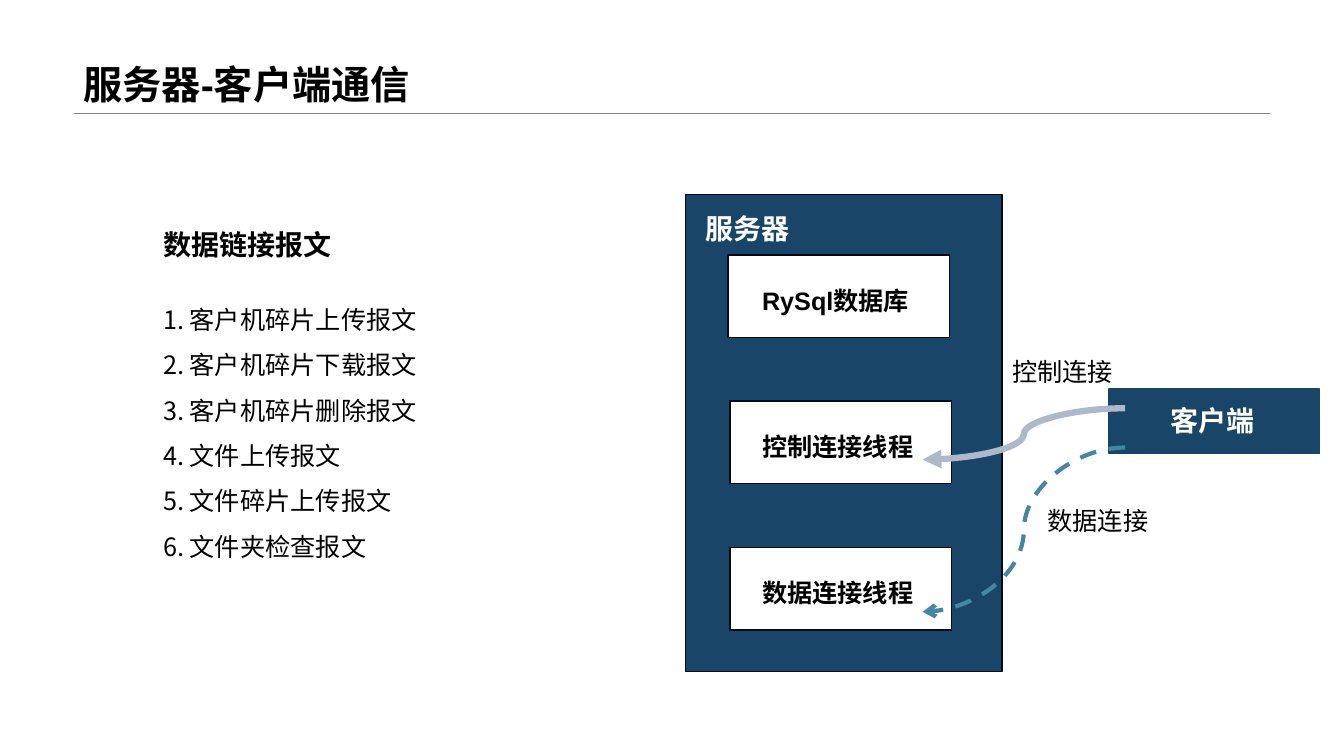
"""Build a slide on the communication between server and client."""
import lxml.etree
import pptx
import pptx.dml.color
import pptx.enum.dml
import pptx.enum.shapes
import pptx.enum.text
import pptx.oxml.ns
import pptx.util

Inches = pptx.util.Inches
Pt = pptx.util.Pt
CONNECTOR = pptx.enum.shapes.MSO_CONNECTOR
ANCHOR = pptx.enum.text.MSO_ANCHOR

COLORS = {
    "black": "000000",
    "white": "FFFFFF",
    "navy": "194668",
    "outline": "010A1A",
    "rule": "808080",
    "control": "ADB9CA",
    "data": "4586A5",
}
LATIN_FONT = "Arial"
CJK_FONT = "Noto Sans CJK SC"
MESSAGES = [
    "客户机碎片上传报文",
    "客户机碎片下载报文",
    "客户机碎片删除报文",
    "文件上传报文",
    "文件碎片上传报文",
    "文件夹检查报文",
]
THREADS = [("RySql数据库", 7.22), ("控制连接线程", 7.24), ("数据连接线程", 7.24)]
THREAD_TOP, THREAD_STEP = 2.53, 1.45


def rgb(name):
    """Return the named colour."""
    return pptx.dml.color.RGBColor.from_string(COLORS[name])


def add_text(shapes, box, lines, size, color="black", bold=False,
             font=LATIN_FONT, spacing=1.0, anchor=ANCHOR.TOP):
    """Add a text box with one paragraph for each line."""
    frame = shapes.add_textbox(*map(Inches, box)).text_frame
    frame.word_wrap = True
    frame.vertical_anchor = anchor
    frame.text = "\n".join(lines)
    for paragraph in frame.paragraphs:
        paragraph.line_spacing = spacing
        for run in paragraph.runs:
            run.font.size = Pt(size)
            run.font.bold = bold
            run.font.color.rgb = rgb(color)
            run.font.name = font
            east_asian = lxml.etree.SubElement(
                run._r.get_or_add_rPr(), pptx.oxml.ns.qn("a:ea"))
            east_asian.set("typeface", CJK_FONT)


def add_block(shapes, box, fill, outline):
    """Add a filled rectangle with a thin outline."""
    block = shapes.add_shape(
        pptx.enum.shapes.MSO_SHAPE.RECTANGLE, *map(Inches, box))
    block.shadow.inherit = False
    block.fill.solid()
    block.fill.fore_color.rgb = rgb(fill)
    block.line.color.rgb = rgb(outline)
    block.line.width = Pt(1)


def add_link(shapes, kind, start, end, color, width, head=None, dash=None):
    """Add a connector, with an arrowhead and dashes if given."""
    link = shapes.add_connector(kind, *map(Inches, start + end))
    link.line.color.rgb = rgb(color)
    link.line.width = Pt(width)
    if dash:
        link.line.dash_style = dash
    if head:
        tail = lxml.etree.SubElement(
            link.line._get_or_add_ln(), pptx.oxml.ns.qn("a:tailEnd"))
        tail.set("type", head)
    lxml.etree.SubElement(
        link._element.spPr, pptx.oxml.ns.qn("a:effectLst"))


def add_client(shapes):
    """Add the client block with its label."""
    client = shapes.add_group_shape().shapes
    add_block(client, (11, 3.86, 2.09, 0.64), "navy", "navy")
    add_text(client, (11.51, 3.95, 1.75, 0.24), ["客户端"], 20, "white", True)


def add_server(shapes):
    """Add the server block with the parts inside it."""
    server = shapes.add_group_shape().shapes
    add_block(server, (6.8, 1.93, 3.14, 4.73), "navy", "outline")
    add_text(server, (6.9, 2.05, 1.17, 0.35), ["服务器"], 20, "white", True)
    for index, (label, left) in enumerate(THREADS):
        top = THREAD_TOP + index * THREAD_STEP
        add_block(server, (left, top, 2.2, 0.82), "white", "outline")
        add_text(server, (7.46, top + 0.25, 1.76, 0.4), [label], 18, bold=True)


def main():
    """Build and save the slide."""
    deck = pptx.Presentation()
    deck.slide_width, deck.slide_height = Inches(13.33), Inches(7.5)
    shapes = deck.slides.add_slide(deck.slide_layouts[6]).shapes

    add_link(shapes, CONNECTOR.STRAIGHT, (0.73, 1.12), (12.6, 1.12), "rule", 0.25)
    numbered = [f"{number}. {message}" for number, message in enumerate(MESSAGES, 1)]
    add_text(shapes, (1.52, 2.82, 6.67, 2.77), numbered, 18,
             font=CJK_FONT, spacing=1.5)
    add_text(shapes, (0.73, 0, 11.87, 1.12), ["服务器-客户端通信"], 28,
             bold=True, spacing=0.9, anchor=ANCHOR.BOTTOM)

    add_client(shapes)
    add_server(shapes)
    add_link(shapes, CONNECTOR.CURVE, (11.16, 4.05), (9.15, 4.56),
             "control", 4.5, "triangle")
    add_link(shapes, CONNECTOR.CURVE, (11.16, 4.44), (9.15, 6.07),
             "data", 3, "arrow", pptx.enum.dml.MSO_LINE.DASH)
    add_text(shapes, (9.94, 3.49, 1.23, 0.4), ["控制连接"], 18)
    add_text(shapes, (10.29, 4.96, 1.23, 0.4), ["数据连接"], 18)
    add_text(shapes, (1.52, 2.21, 4.21, 0.44), ["数据链接报文"], 20, bold=True)

    deck.save("out.pptx")


if __name__ == "__main__":
    main()
